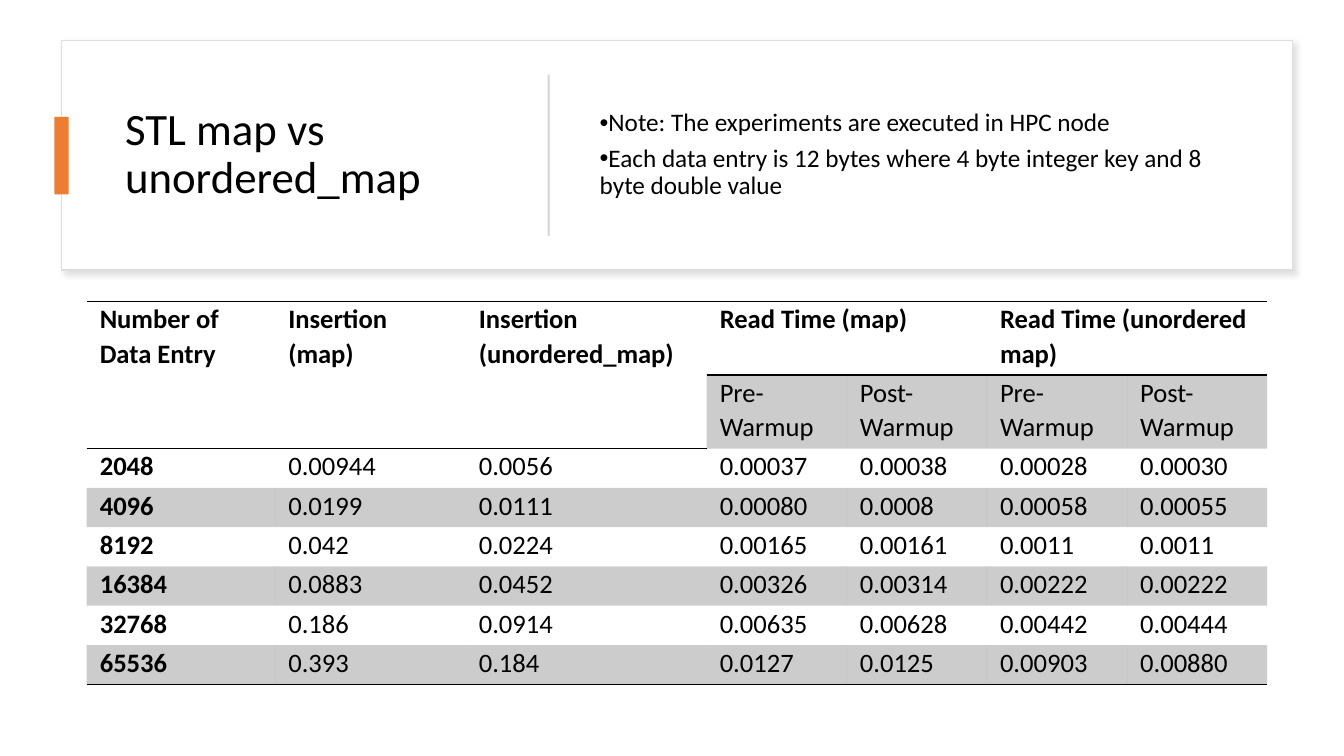
import pptx
import pptx.util
import pptx.dml.color
import pptx.enum.shapes
import pptx.enum.text
import pptx.oxml.ns
import lxml.etree

Inches = pptx.util.Inches
Pt = pptx.util.Pt
qn = pptx.oxml.ns.qn
anchor = pptx.enum.text.MSO_ANCHOR.MIDDLE


def paint(color, code):
    color.rgb = pptx.dml.color.RGBColor.from_string(code)


def add(parent, tag, **attrs):
    return lxml.etree.SubElement(parent, qn(tag), {k: str(v) for k, v in attrs.items()})


deck = pptx.Presentation()
deck.slide_width = Inches(13.33)
deck.slide_height = Inches(7.5)
slide = deck.slides.add_slide(deck.slide_layouts[5])
shapes = slide.shapes
title = shapes.title

bars = []
for left, top, width, height, fill in [
    (0.61, 0.4, 12.21, 2.28, "FFFFFF"),
    (0.54, 1.16, 0.14, 0.77, "ED7D31"),
    (4.64, 1.53, 1.6, 0.02, "D5D5D5"),
]:
    bar = shapes.add_shape(
        pptx.enum.shapes.MSO_SHAPE.RECTANGLE,
        Inches(left), Inches(top), Inches(width), Inches(height),
    )
    bar.shadow.inherit = False
    bar.fill.solid()
    paint(bar.fill.fore_color, fill)
    bar.line.fill.background()
    bars.append(bar)
card, accent, rule = bars
rule.rotation = 90
paint(card.line.color, "DEDEDE")
card.line.width = Pt(1)
effects = card._element.spPr.find(qn("a:effectLst"))
shadow = add(effects, "a:outerShdw", blurRad=Pt(4), dist=Pt(3), dir=45 * 60000)
shade = add(shadow, "a:srgbClr", val="C5C3C3")
add(shade, "a:alpha", val=50000)
card._element.addnext(title._element)

title.left, title.top = Inches(1.14), Inches(0.64)
title.width, title.height = Inches(3.89), Inches(1.8)
title.text_frame.text = "STL map vs unordered_map"
notes = shapes.add_textbox(Inches(5.85), Inches(0.64), Inches(6.56), Inches(1.8))
notes.text_frame.text = (
    "Note: The experiments are executed in HPC node\n"
    "Each data entry is 12 bytes where 4 byte integer key and 8 byte double value"
)
for para in notes.text_frame.paragraphs:
    props = para._p.get_or_add_pPr()
    props.set("marL", "0")
    props.set("indent", str(Inches(-0.25)))
    para.space_after = Pt(6)
    add(props, "a:buFont", typeface="Arial")
    add(props, "a:buChar", char="•")
for box, size in [(title, 32), (notes, 18)]:
    frame = box.text_frame
    frame.word_wrap = True
    frame.auto_size = pptx.enum.text.MSO_AUTO_SIZE.NONE
    frame.vertical_anchor = anchor
    for para in frame.paragraphs:
        para.alignment = pptx.enum.text.PP_ALIGN.LEFT
        para.line_spacing = 0.9
        for run in para.runs:
            run.font.name = "Calibri"
            run.font.size = Pt(size)
            paint(run.font.color, "000000")

rows = [
    ["Number of Data Entry", "Insertion (map)", "Insertion (unordered_map)",
     "Read Time (map)", "", "Read Time (unordered map)", ""],
    ["", "", ""] + ["Pre-Warmup", "Post-Warmup"] * 2,
    ["2048", "0.00944", "0.0056", "0.00037", "0.00038", "0.00028", "0.00030"],
    ["4096", "0.0199", "0.0111", "0.00080", "0.0008", "0.00058", "0.00055"],
    ["8192", "0.042", "0.0224", "0.00165", "0.00161", "0.0011", "0.0011"],
    ["16384", "0.0883", "0.0452", "0.00326", "0.00314", "0.00222", "0.00222"],
    ["32768", "0.186", "0.0914", "0.00635", "0.00628", "0.00442", "0.00444"],
    ["65536", "0.393", "0.184", "0.0127", "0.0125", "0.00903", "0.00880"],
]
widths = [1.87, 1.89, 2.39] + [1.39] * 4
heights = [0.73] * 2 + [0.39] * 6
grid = shapes.add_table(
    len(rows), len(widths), Inches(0.86), Inches(2.99), Inches(11.7), Inches(3.81)
)
table = grid.table
table.first_row = table.horz_banding = False
style = table._tbl.tblPr.find(qn("a:tableStyleId"))
style.text = "{2D5ABB26-0587-4C30-8999-92F81FD0307C}"
for col, width in zip(table.columns, widths):
    col.width = Inches(width)
for row, height in zip(table.rows, heights):
    row.height = Inches(height)
for c in range(3):
    table.cell(0, c).merge(table.cell(1, c))
for c in (3, 5):
    table.cell(0, c).merge(table.cell(0, c + 1))

for r, row in enumerate(rows):
    for c, text in enumerate(row):
        cell = table.cell(r, c)
        cell.margin_left = cell.margin_right = Inches(0.13)
        cell.margin_top = cell.margin_bottom = 0
        props = cell._tc.get_or_add_tcPr()
        edges = ["a:lnT"] if r == 0 else []
        if r in (0, 7) or (r == 1 and c < 3):
            edges.append("a:lnB")
        for edge in edges:
            line = add(props, edge, w=Pt(1))
            add(add(line, "a:solidFill"), "a:srgbClr", val="000000")
        if r % 2 and (r > 1 or c > 2):
            tint = add(add(props, "a:solidFill"), "a:srgbClr", val="000000")
            add(tint, "a:alpha", val=20000)
        else:
            cell.fill.background()
        if text:
            cell.text_frame.text = text
            para = cell.text_frame.paragraphs[0]
            para.line_spacing = 1.07
            font = para.runs[0].font
            font.name = "Calibri"
            font.size = Pt(19)
            font.bold = r == 0 or c == 0
            paint(font.color, "000000")

deck.save("out.pptx")
